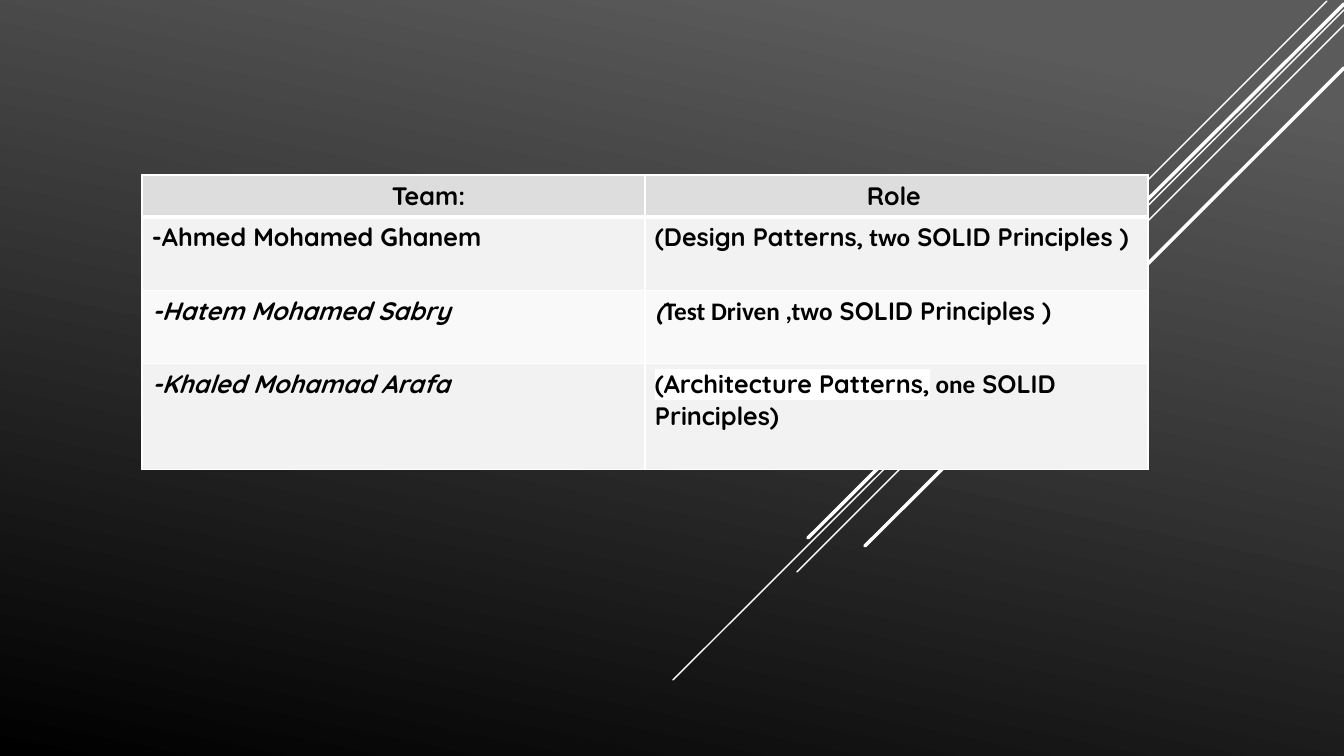
from pptx import Presentation, util as u
from pptx.dml import color
from pptx.enum import shapes, text
from pptx.oxml import ns, parse_xml

PX = 914400 / 100.8
WHITE = "FFFFFF"
BRAND, PLAIN = "Quicksand", "Calibri"


def px(length):
    return u.Emu(round(length * PX))


def rgb(value):
    return color.RGBColor.from_string(value)


def element(tag, inner="", attributes=""):
    return parse_xml(f"<a:{tag} {ns.nsdecls('a')} {attributes}>{inner}</a:{tag}>")


def solid(value):
    return f'<a:solidFill><a:srgbClr val="{value}"/></a:solidFill>'


class Deck:
    """Holds the presentation, its current slide and the shared text style."""

    def __init__(self, width, height):
        self.deck = Presentation()
        self.deck.slide_width, self.deck.slide_height = px(width), px(height)
        self.slide = self.deck.slides.add_slide(self.deck.slide_layouts[6])
        self.style = {"size": u.Pt(18), "bold": True, "italic": False, "name": BRAND}

    def backdrop(self, stops, angle):
        fill = self.slide.background.fill
        fill.gradient()
        fill.gradient_angle = angle
        for stop, (position, value) in zip(fill.gradient_stops, stops):
            stop.position = position
            stop.color.rgb = rgb(value)

    def ray(self, start, end, weight):
        line = self.slide.shapes.add_connector(
            shapes.MSO_CONNECTOR.STRAIGHT, *map(px, start + end))
        line.line.color.rgb = rgb(WHITE)
        line.line.width = u.Pt(weight)
        line.line._get_or_add_ln().set("cap", "rnd")
        line._element.spPr.append(element("effectLst"))

    def run(self, paragraph, words, highlight=None, **changes):
        run = paragraph.add_run()
        run.text = words
        run.font.color.rgb = rgb("000000")
        if highlight:
            run.font._element.append(
                element("highlight", f'<a:srgbClr val="{highlight}"/>'))
        for key, value in {**self.style, **changes}.items():
            setattr(run.font, key, value)

    def cell(self, cell, runs, fill, borders, indent):
        properties = cell._tc.get_or_add_tcPr()
        for side, weight in borders.items():
            properties.append(
                element(f"ln{side}", solid(WHITE), f'w="{u.Pt(weight)}"'))
        cell.fill.solid()
        cell.fill.fore_color.rgb = rgb(fill)
        cell.vertical_anchor = text.MSO_ANCHOR.TOP
        cell.margin_left = px(indent)
        for words, changes in runs:
            self.run(cell.text_frame.paragraphs[0], words, **changes)

    def table(self, left, top, widths, heights, rows, fills, header_indents):
        table = self.slide.shapes.add_table(
            len(rows), len(widths), px(left), px(top),
            px(sum(widths)), px(sum(heights))).table
        for column, width in zip(table.columns, widths):
            column.width = px(width)
        for r, (height, row, fill) in enumerate(zip(heights, rows, fills)):
            table.rows[r].height = px(height)
            borders = {"L": 1, "R": 1, "T": 3 if r == 1 else 1, "B": 1 if r else 3}
            for c, runs in enumerate(row):
                indent = 10 if r else header_indents[c]
                self.cell(table.cell(r, c), runs, fill, borders, indent)


def main():
    team = Deck(1344, 756)
    team.backdrop([(0.1, "5B5B5B"), (1, "000000")], 258)
    rays = [
        ((1327, 1), (907, 421), 1),
        ((1344, 10), (673, 680), 1),
        ((1344, 25), (797, 572), 1),
        ((1344, 4), (808, 538), 2.5),
        ((1344, 68), (865, 546), 2.5),
    ]
    for start, end, weight in rays:
        team.ray(start, end, weight)

    slanted, plain = {"italic": True}, {"name": PLAIN}
    members = [
        [[("Team:", {})], [("Role", {})]],
        [[("-Ahmed Mohamed Ghanem", {})],
         [("(Design Patterns,", {}), (" two", plain), (" SOLID Principles )", {})]],
        [[("-Hatem Mohamed Sabry", slanted)],
         [("(", slanted), ("Test Driven ,two", plain), (" SOLID Principles )", {})]],
        [[("-Khaled Mohamad Arafa", slanted)],
         [("(Architecture Patterns,", {"highlight": WHITE}), (" one", plain),
          (" SOLID Principles)", {})]],
    ]
    team.table(142, 175, [503, 503], [41, 74, 73, 106], members,
               ["DDDDDD", "F2F2F2", "F9F9F9", "F2F2F2"], [250, 222])
    team.deck.save("out.pptx")


if __name__ == "__main__":
    main()
